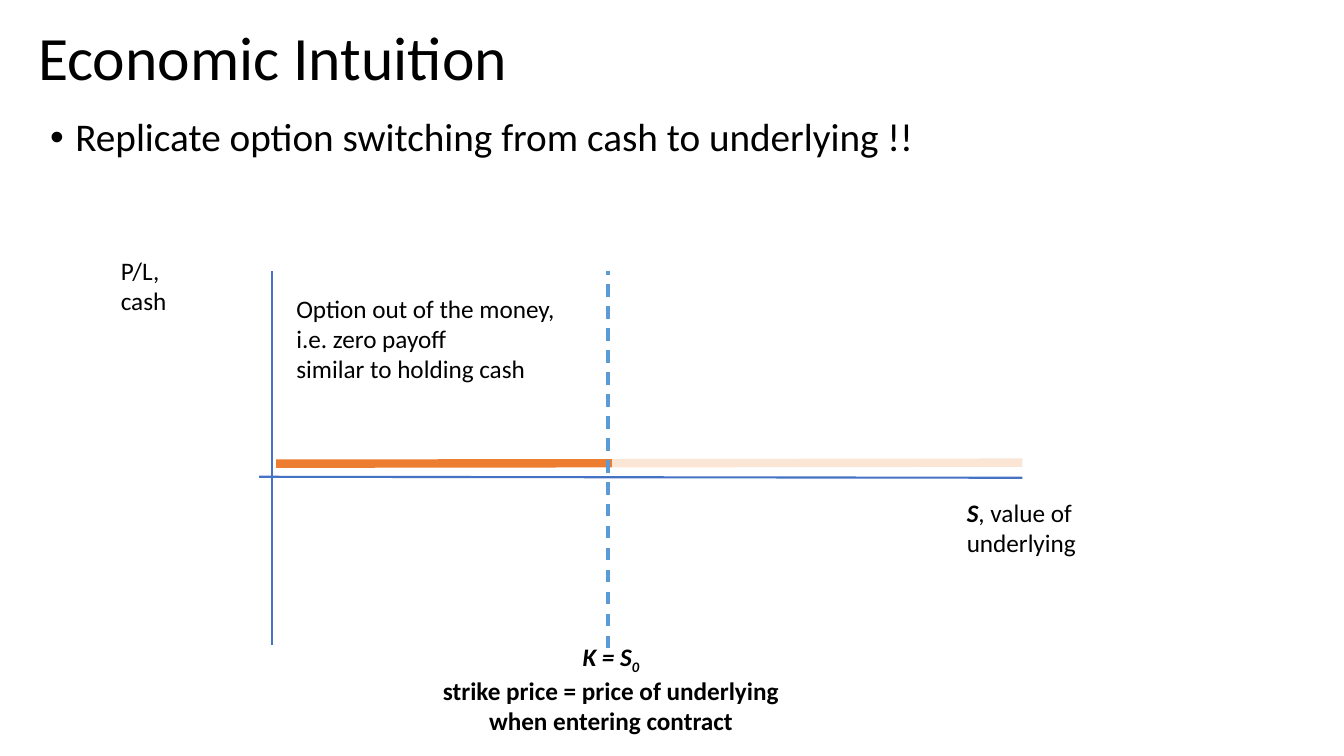
from lxml.etree import SubElement
from pptx import Presentation
from pptx.dml.color import RGBColor
from pptx.enum.dml import MSO_LINE
from pptx.enum.shapes import MSO_CONNECTOR, MSO_SHAPE
from pptx.enum.text import MSO_ANCHOR, PP_ALIGN
from pptx.oxml.ns import qn
from pptx.util import Inches, Pt

COLORS = {
    "text": "000000",
    "axis": "4472C4",
    "payoff": "ED7D31",
    "strike": "5B9BD5",
    "veil": "FFFFFF",
}
FONT = "Calibri"
AXIS_X = 2.7
STRIKE_X = 6.03
CHART_TOP = 2.69
CHART_RIGHT = 10.14


def color(name):
    return RGBColor.from_string(COLORS[name])


def add_run(paragraph, text, size, bold=False, italic=False, baseline=0):
    run = paragraph.add_run()
    run.text = text
    run.font.name = FONT
    run.font.size = Pt(size)
    run.font.bold = bold
    run.font.italic = italic
    run.font.color.rgb = color("text")
    if baseline:
        run.font._element.set("baseline", str(baseline * 1000))


def add_text(slide, box, lines, size=18, align=PP_ALIGN.LEFT,
             anchor=MSO_ANCHOR.TOP, wrap=False, spacing=1.0):
    shape = slide.shapes.add_textbox(*map(Inches, box))
    frame = shape.text_frame
    frame.word_wrap = wrap
    frame.vertical_anchor = anchor
    for index, runs in enumerate(lines):
        paragraph = frame.add_paragraph() if index else frame.paragraphs[0]
        paragraph.alignment = align
        paragraph.line_spacing = spacing
        for text, style in runs:
            add_run(paragraph, text, size, **style)
    return shape


def add_bullet(paragraph, indent):
    properties = paragraph._p.get_or_add_pPr()
    properties.set("marL", str(Inches(indent)))
    properties.set("indent", str(-Inches(indent)))
    SubElement(properties, qn("a:buFont"), typeface="Arial")
    SubElement(properties, qn("a:buChar"), char="•")


def add_line(slide, start, end, color_name, width, dash=None):
    line = slide.shapes.add_connector(
        MSO_CONNECTOR.STRAIGHT, *map(Inches, start + end))
    line.line.color.rgb = color(color_name)
    line.line.width = Pt(width)
    if dash:
        line.line.dash_style = dash
    SubElement(line._element.spPr, qn("a:effectLst"))


def add_veil(slide, box, opacity):
    shape = slide.shapes.add_shape(MSO_SHAPE.RECTANGLE, *map(Inches, box))
    shape.shadow.inherit = False
    shape.fill.solid()
    shape.fill.fore_color.rgb = color("veil")
    shape.line.fill.background()
    fill_color = shape._element.spPr.find(qn("a:solidFill"))[0]
    SubElement(fill_color, qn("a:alpha"), val=str(opacity * 1000))


def main():
    presentation = Presentation()
    presentation.slide_width = Inches(13.33)
    presentation.slide_height = Inches(7.5)
    slide = presentation.slides.add_slide(presentation.slide_layouts[6])
    strong = {"bold": True}
    symbol = {"bold": True, "italic": True}

    add_text(slide, (0.28, -0.04, 11.22, 1.29), [[("Economic Intuition", {})]],
             size=44, anchor=MSO_ANCHOR.MIDDLE, wrap=True, spacing=0.9)
    body = add_text(
        slide, (0.4, 1.12, 12.5, 0.64),
        [[("Replicate option switching from cash to underlying !!", {})]],
        size=28, wrap=True, spacing=0.9)
    bullet = body.text_frame.paragraphs[0]
    bullet.space_before = Pt(10)
    add_bullet(bullet, 0.25)

    add_line(slide, (2.57, 4.73), (CHART_RIGHT, 4.74), "axis", 1.5)
    add_line(slide, (AXIS_X, 6.4), (AXIS_X, CHART_TOP), "axis", 1.5)
    add_text(slide, (1.1, 2.48, 0.7, 0.71), [[("P/L,", {})], [("cash", {})]])
    add_line(slide, (2.74, 4.6), (CHART_RIGHT, 4.59), "payoff", 6)
    add_line(slide, (STRIKE_X, 6.43), (STRIKE_X, CHART_TOP), "strike", 2.25,
             MSO_LINE.DASH)
    add_text(slide, (9.49, 4.88, 1.31, 0.71),
             [[("S", symbol), (", value of", {})], [("underlying", {})]])
    add_text(slide, (4.28, 6.31, 3.56, 1.01),
             [[("K = S", symbol), ("0", {**symbol, "baseline": -25})],
              [("strike price = price of underlying", strong)],
              [("when entering contract", strong)]],
             align=PP_ALIGN.CENTER)
    add_veil(slide, (6.07, 3.02, 4.11, 1.69), 80)
    add_text(slide, (2.84, 2.86, 2.85, 1.01),
             [[("Option out of the money,", {})],
              [("i.e. zero payoff", {})],
              [("similar to holding cash", {})]])

    presentation.save("out.pptx")


main()
